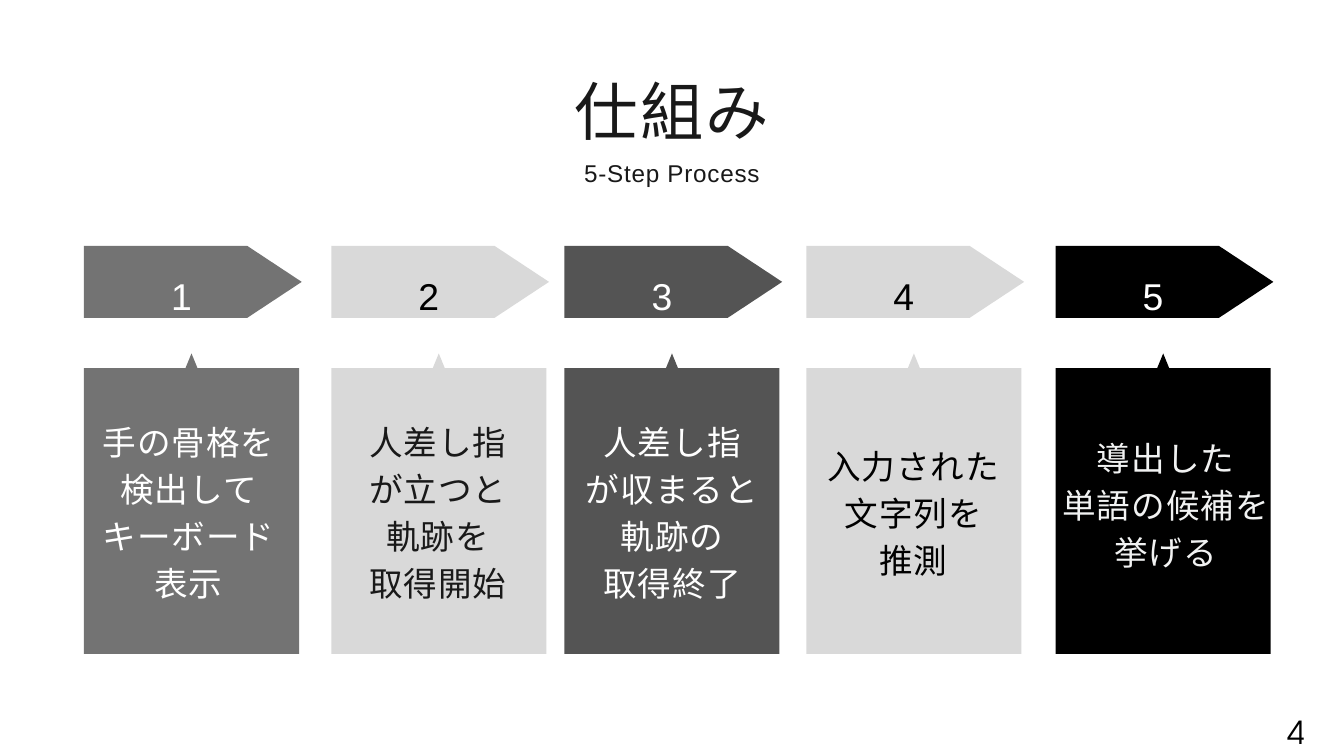
from pptx import Presentation
from pptx.dml.color import RGBColor
from pptx.enum.shapes import MSO_SHAPE
from pptx.enum.text import MSO_ANCHOR, MSO_AUTO_SIZE, PP_ALIGN
from pptx.oxml.ns import qn
from pptx.util import Emu, Pt

ARROW = MSO_SHAPE.PENTAGON
TOP, MIDDLE = MSO_ANCHOR.TOP, MSO_ANCHOR.MIDDLE
CENTER = PP_ALIGN.CENTER
NO_FIT = MSO_AUTO_SIZE.NONE

PX = 9144
COLORS = {
    "gray": "737373",
    "light": "D9D9D9",
    "dark": "545454",
    "black": "000000",
    "ink": "191919",
    "white": "FFFFFF",
    "off_white": "F1F2F2",
}
STEP_TOP, STEP_WIDTH, STEP_HEIGHT = 366, 324, 607
ARROW_HEIGHT, ARROW_TIP = 107, 81
PANEL_WIDTH, PANEL_TOP = 320, 182
POINTER_HEIGHT, POINTER_HALF = 22, 9

# left, fill, number colour, text colour, text offset (x, y), text width, lines
STEPS = [
    (125, "gray", "white", "white", (0, 252), 311,
     ["手の骨格を", "検出して", "キーボード", "表示"]),
    (493, "light", "black", "ink", (-3, 252), 323,
     ["人差し指", "が立つと", "軌跡を", "取得開始"]),
    (840, "dark", "white", "white", (23, 252), 274,
     ["人差し指", "が収まると", "軌跡の", "取得終了"]),
    (1200, "light", "black", "black", (9, 287), 300,
     ["入力された", "文字列を", "推測"]),
    (1571, "black", "white", "off_white", (-1, 275), 329,
     ["導出した", "単語の候補を", "挙げる"]),
]


def px(*lengths):
    return [Emu(length * PX) for length in lengths]


def paint(shape, color):
    shape.shadow.inherit = False
    shape.fill.solid()
    shape.fill.fore_color.rgb = RGBColor.from_string(COLORS[color])
    shape.line.fill.background()


def write(shape, lines, font, size, color, leading, spacing=0, inset=0, anchor=TOP):
    frame = shape.text_frame
    frame.word_wrap = True
    frame.auto_size = NO_FIT
    frame.vertical_anchor = anchor
    frame.margin_left = frame.margin_right = Emu(inset * PX)
    frame.margin_top = frame.margin_bottom = Emu(inset * PX)
    frame.text = "\n".join(lines)
    for para in frame.paragraphs:
        para.alignment = CENTER
        para.space_before = Pt(0)
        para.line_spacing = Pt(leading)
        para.font.name = font
        para.font.size = Pt(size)
        para.font.color.rgb = RGBColor.from_string(COLORS[color])
        properties = para._p.get_or_add_pPr().find(qn("a:defRPr"))
        properties.set("spc", str(round(spacing * 100)))


def place(shape, left, top, width, height):
    shape.left, shape.top, shape.width, shape.height = px(left, top, width, height)


def add_heading(page, left, top, width, height):
    title, subtitle = page.shapes.title, page.placeholders[1]
    place(title, left, top, width, 123)
    write(title, ["仕組み"], "Calibri", 68, "ink", 89.1, 2)
    place(subtitle, left, top + height - 47, width, 47)
    write(subtitle, ["5-Step Process"], "Arial", 26, "ink", 36.4, 0.8)


def add_arrow(page, left, top, width, height, number, fill, color):
    arrow = page.shapes.add_shape(ARROW, *px(left, top, width, height))
    arrow.adjustments[0] = ARROW_TIP / height
    paint(arrow, fill)
    label = page.shapes.add_textbox(*px(left, top - 32, 290, 200))
    write(label, [str(number)], "Arial", 40, color, 56, 1.2, 6, MIDDLE)


def add_panel(page, left, top, width, height, fill):
    middle, right = left + width // 2, left + width
    bottom, pointer_top = top + height, top - POINTER_HEIGHT
    outline = page.shapes.build_freeform(left, top, scale=PX)
    outline.add_line_segments([
        (middle - POINTER_HALF, top),
        (middle, pointer_top),
        (middle + POINTER_HALF, top),
        (right, top),
        (right, bottom),
        (left, bottom),
    ])
    paint(outline.convert_to_shape(), fill)


def add_step(page, left, top, width, height, number, step):
    fill, number_color, text_color, offset, text_width, lines = step
    add_arrow(page, left, top, width, ARROW_HEIGHT, number, fill, number_color)
    add_panel(page, left, top + PANEL_TOP, PANEL_WIDTH, height - PANEL_TOP, fill)
    box = page.shapes.add_textbox(
        *px(left + offset[0], top + offset[1], text_width, 70 * len(lines)))
    write(box, lines, "Calibri", 36, text_color, 50.4, 1.1)


def add_page_number(page, left, top, width, height):
    box = page.shapes.add_textbox(*px(left, top, width, height))
    write(box, ["4"], "TeX Gyre Adventor", 34, "black", 47.6)


def main():
    deck = Presentation()
    deck.slide_width, deck.slide_height = px(2000, 1125)
    page = deck.slides.add_slide(deck.slide_layouts[0])
    add_heading(page, 388, 97, 1224, 178)
    for number, (left, *step) in enumerate(STEPS, 1):
        add_step(page, left, STEP_TOP, STEP_WIDTH, STEP_HEIGHT, number, step)
    add_page_number(page, 1914, 1052, 30, 67)
    deck.save("out.pptx")


if __name__ == "__main__":
    main()
